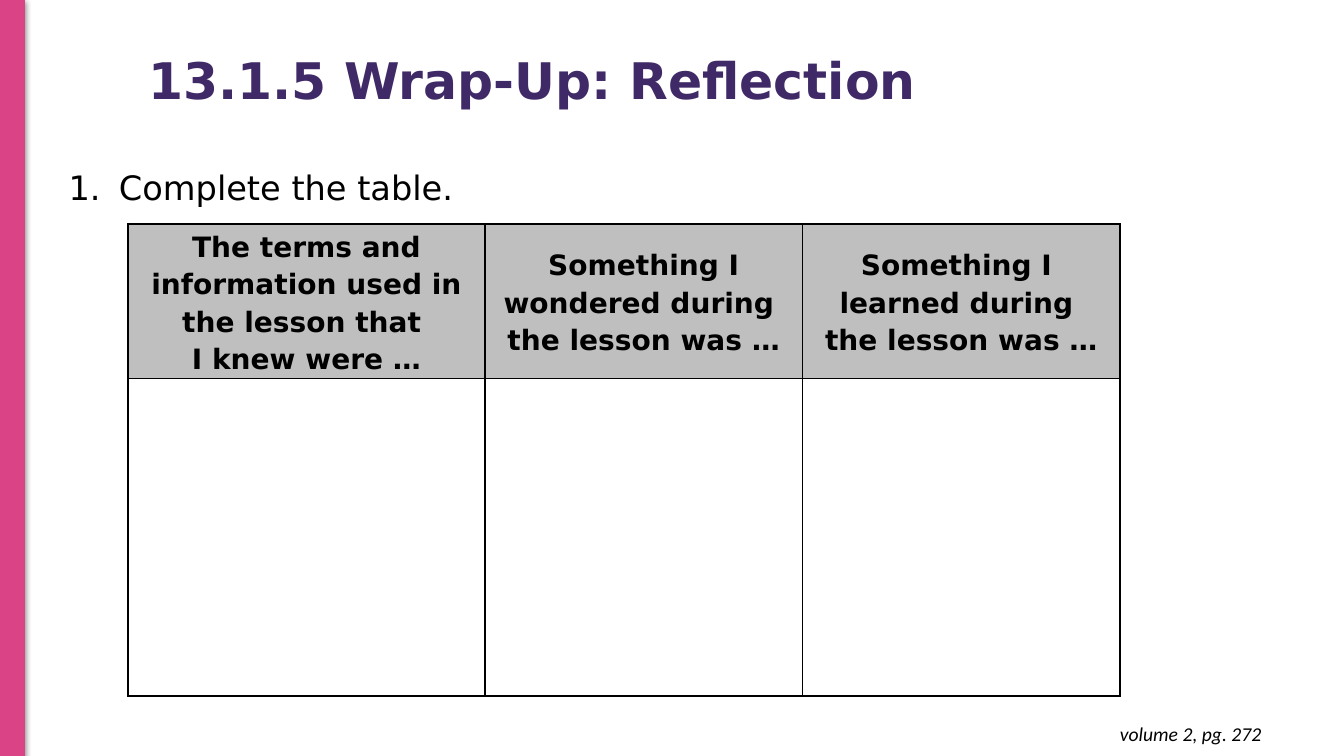
from dataclasses import dataclass

from lxml.etree import SubElement
from pptx import Presentation
from pptx.dml.color import RGBColor
from pptx.enum.shapes import MSO_SHAPE
from pptx.enum.text import MSO_ANCHOR, MSO_AUTO_SIZE, PP_ALIGN
from pptx.oxml import parse_xml
from pptx.oxml.ns import nsdecls, qn
from pptx.util import Pt

EMU_PER_PX = 9144


@dataclass(frozen=True)
class Theme:
    accent: str = "DA4487"
    heading: str = "3F2A67"
    ink: str = "000000"
    header_fill: str = "BFBFBF"
    font: str = "DejaVu Sans"
    note_font: str = "Calibri"
    title_size: int = 36
    body_size: int = 24
    header_size: int = 20
    note_size: int = 14
    border_width: float = 1.5


THEME = Theme()
COLUMN_WIDTHS = (354, 315, 315)
ROW_HEIGHTS = (140, 315)
HEADERS = (
    ("The terms and information used in the lesson that ", "I knew were …"),
    ("Something I wondered during ", "the lesson was …"),
    ("Something I ", "learned during ", "the lesson was …"),
)


def px(length):
    return length * EMU_PER_PX


def place(shape, left, top, width, height):
    shape.left, shape.top = px(left), px(top)
    shape.width, shape.height = px(width), px(height)


def add_run(paragraph, text, size, color=THEME.ink, font=THEME.font, bold=False, italic=False):
    run = paragraph.add_run()
    run.text = text
    run.font.name = font
    run.font.size = Pt(size)
    run.font.bold = bold
    run.font.italic = italic
    run.font.color.rgb = RGBColor.from_string(color)


def add_side_bar(slide):
    bar = slide.shapes.add_shape(MSO_SHAPE.RECTANGLE, 0, 0, px(24), px(751))
    bar.fill.solid()
    bar.fill.fore_color.rgb = RGBColor.from_string(THEME.accent)
    bar.line.color.rgb = RGBColor.from_string(THEME.accent)
    bar.line.width = Pt(0.75)
    bar.shadow.inherit = False
    effects = bar._element.spPr.find(qn("a:effectLst"))
    effects.append(parse_xml(
        f'<a:outerShdw {nsdecls("a")} blurRad="{Pt(4.5)}" dist="{Pt(1.5)}" dir="5400000">'
        f'<a:srgbClr val="{THEME.ink}"><a:alpha val="50000"/></a:srgbClr></a:outerShdw>'
    ))


def add_page_note(slide, text):
    note = slide.shapes.add_textbox(px(973), px(706), px(288), px(44))
    frame = note.text_frame
    frame.word_wrap = True
    frame.margin_top = frame.margin_bottom = px(10)
    paragraph = frame.paragraphs[0]
    paragraph.alignment = PP_ALIGN.RIGHT
    add_run(paragraph, text, THEME.note_size, font=THEME.note_font, italic=True)


def fill_title(slide, text):
    title = slide.shapes.title
    place(title, 137, 10, 877, 145)
    frame = title.text_frame
    frame.auto_size = MSO_AUTO_SIZE.NONE
    frame.vertical_anchor = MSO_ANCHOR.MIDDLE
    paragraph = frame.paragraphs[0]
    paragraph.alignment = PP_ALIGN.LEFT
    paragraph.line_spacing = 0.9
    add_run(paragraph, text, THEME.title_size, THEME.heading, bold=True)


def number_paragraph(paragraph, indent):
    properties = paragraph._p.get_or_add_pPr()
    properties.set("marL", str(px(indent)))
    properties.set("indent", str(px(-indent)))
    color = SubElement(properties, qn("a:buClr"))
    SubElement(color, qn("a:srgbClr"), val=THEME.ink)
    SubElement(properties, qn("a:buFont"), typeface=THEME.font)
    SubElement(properties, qn("a:buAutoNum"), type="arabicPeriod")


def fill_body(slide, items):
    body = slide.placeholders[1]
    place(body, 58, 161, 911, 50)
    frame = body.text_frame
    frame.auto_size = MSO_AUTO_SIZE.NONE
    for index, item in enumerate(items):
        paragraph = frame.add_paragraph() if index else frame.paragraphs[0]
        number_paragraph(paragraph, 50)
        paragraph.space_before = Pt(0)
        add_run(paragraph, item, THEME.body_size)


def set_borders(cell):
    properties = cell._tc.get_or_add_tcPr()
    for index, side in enumerate(("lnL", "lnR", "lnT", "lnB")):
        properties.insert(index, parse_xml(
            f'<a:{side} {nsdecls("a")} w="{Pt(THEME.border_width)}"><a:solidFill>'
            f'<a:srgbClr val="{THEME.ink}"/></a:solidFill></a:{side}>'
        ))


def fill_header(cell, lines):
    cell.fill.solid()
    cell.fill.fore_color.rgb = RGBColor.from_string(THEME.header_fill)
    cell.vertical_anchor = MSO_ANCHOR.MIDDLE
    cell.margin_left = cell.margin_right = px(4)
    cell.margin_top = cell.margin_bottom = 0
    paragraph = cell.text_frame.paragraphs[0]
    paragraph.alignment = PP_ALIGN.CENTER
    paragraph.line_spacing = 1.15
    for index, line in enumerate(lines):
        if index:
            paragraph.add_line_break()
        add_run(paragraph, line, THEME.header_size, bold=True)


def add_reflection_table(slide):
    table = slide.shapes.add_table(
        len(ROW_HEIGHTS), len(COLUMN_WIDTHS),
        px(127), px(222), px(sum(COLUMN_WIDTHS)), px(sum(ROW_HEIGHTS)),
    ).table
    table.first_row = table.horz_banding = False
    for column, width in zip(table.columns, COLUMN_WIDTHS):
        column.width = px(width)
    for row, height in zip(table.rows, ROW_HEIGHTS):
        row.height = px(height)
    for cell in table.iter_cells():
        cell.fill.background()
        set_borders(cell)
    for cell, lines in zip(table.rows[0].cells, HEADERS):
        fill_header(cell, lines)


def main():
    presentation = Presentation()
    presentation.slide_width, presentation.slide_height = px(1333), px(750)
    slide = presentation.slides.add_slide(presentation.slide_layouts[1])
    add_side_bar(slide)
    add_page_note(slide, "volume 2, pg. 272")
    fill_title(slide, "13.1.5 Wrap-Up: Reflection")
    fill_body(slide, ["Complete the table."])
    add_reflection_table(slide)
    presentation.save("out.pptx")


if __name__ == "__main__":
    main()
